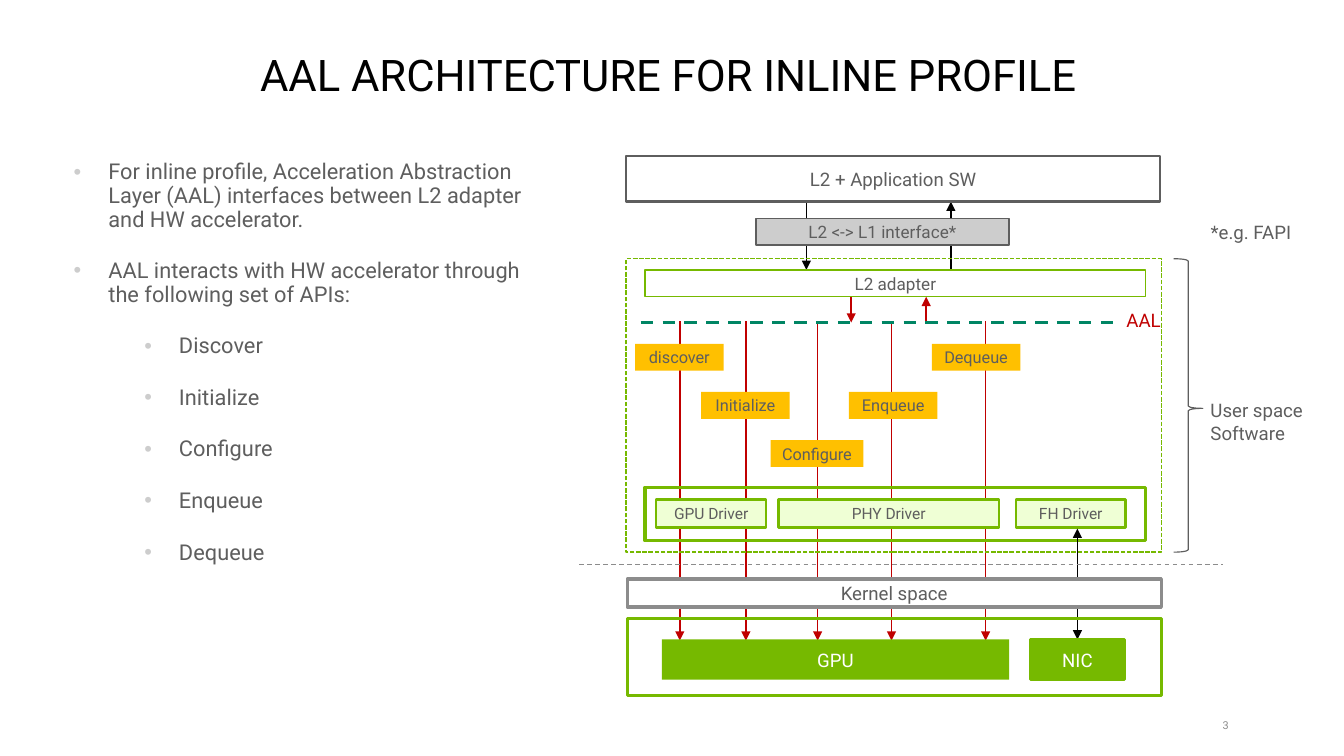
from collections import namedtuple
from lxml.etree import SubElement
from pptx import Presentation
from pptx.dml.color import RGBColor
from pptx.enum.dml import MSO_LINE as DASH
from pptx.enum.shapes import MSO_CONNECTOR, MSO_SHAPE as SHAPE
from pptx.enum.text import MSO_ANCHOR as ANCHOR, PP_ALIGN as ALIGN
from pptx.oxml.ns import qn
from pptx.util import Inches, Pt

COLORS = {
    "black": "000000", "white": "FFFFFF", "text": "5E5E5E", "muted": "8C8C8C",
    "silver": "CDCDCD", "green": "76B900", "mint": "EFFFD5", "teal": "008564",
    "amber": "FFC000", "red": "C00000",
}
FONT = "Roboto"
COLUMNS, ROWS = 120, 67.5
CELL = Inches(12) / COLUMNS
Box = namedtuple("Box", "left top width height")


def grid(cells):
    return round(cells * CELL)


def color(name):
    return RGBColor.from_string(COLORS[name])


def within(box, left, top, width, height):
    return Box(box.left + left, box.top + top, width, height)


def add_run(paragraph, text, size, ink):
    run = paragraph.add_run()
    run.text = text
    run.font.name = FONT
    run.font.size = Pt(size)
    run.font.color.rgb = color(ink)


def set_frame(frame, anchor, inset):
    frame.word_wrap = True
    frame.vertical_anchor = anchor
    frame.margin_left = frame.margin_right = grid(inset)
    frame.margin_top = frame.margin_bottom = grid(inset / 2)


def add_text(slide, box, text, size, ink, align=ALIGN.CENTER, anchor=ANCHOR.MIDDLE,
             inset=1, spacing=0.9):
    frame = slide.shapes.add_textbox(*map(grid, box)).text_frame
    set_frame(frame, anchor, inset)
    paragraph = frame.paragraphs[0]
    paragraph.alignment = align
    paragraph.line_spacing = spacing
    add_run(paragraph, text, size, ink)


def add_block(slide, box, text="", size=12, ink="text", fill=None, line=None,
              weight=1, dash=None, kind=SHAPE.RECTANGLE):
    shape = slide.shapes.add_shape(kind, *map(grid, box))
    shape.shadow.inherit = False
    if fill:
        shape.fill.solid()
        shape.fill.fore_color.rgb = color(fill)
    else:
        shape.fill.background()
    if line:
        shape.line.color.rgb = color(line)
        shape.line.width = Pt(weight)
        if dash:
            shape.line.dash_style = dash
    else:
        shape.line.fill.background()
    if text:
        set_frame(shape.text_frame, ANCHOR.MIDDLE, 0)
        paragraph = shape.text_frame.paragraphs[0]
        paragraph.alignment = ALIGN.CENTER
        add_run(paragraph, text, size, ink)
    return shape


def add_line(slide, start, end, ink, weight=1, dash=None, arrows=()):
    line = slide.shapes.add_connector(MSO_CONNECTOR.STRAIGHT, *map(grid, start + end))
    line.line.color.rgb = color(ink)
    line.line.width = Pt(weight)
    if dash:
        line.line.dash_style = dash
    outline = line.line._get_or_add_ln()
    for arrow in arrows:
        SubElement(outline, qn(f"a:{arrow}"), type="triangle")
    SubElement(line._element.spPr, qn("a:effectLst"))


def add_bullets(slide, box, items):
    frame = slide.shapes.add_textbox(*map(grid, box)).text_frame
    set_frame(frame, ANCHOR.TOP, 1)
    for index, (level, text) in enumerate(items):
        paragraph = frame.paragraphs[0] if index == 0 else frame.add_paragraph()
        paragraph.level = level
        paragraph.line_spacing = 0.9
        paragraph.space_before = Pt(9 if index else 0)
        paragraph.space_after = Pt(9)
        properties = paragraph._p.get_or_add_pPr()
        properties.set("marL", str(grid(3.1 + 6.3 * level)))
        properties.set("indent", str(grid(-3.1)))
        bullet_color = SubElement(properties, qn("a:buClr"))
        SubElement(bullet_color, qn("a:srgbClr"), val=COLORS["silver"])
        SubElement(properties, qn("a:buFont"), typeface="Arial")
        SubElement(properties, qn("a:buChar"), char="•")
        add_run(paragraph, text, 14, "text")


def add_application(slide, box):
    down, up = box.left + 16.1, box.left + 29
    top, bottom = box.top + 4.1, box.top + box.height
    add_line(slide, (down, top), (down, bottom), "black", arrows=["tailEnd"])
    add_line(slide, (up, bottom), (up, top), "black", arrows=["tailEnd"])
    add_block(slide, within(box, 0, 0, box.width, 4.1), "L2 + Application SW",
              line="text", weight=1.5)
    add_block(slide, within(box, 11.6, 5.6, 22.6, 2.4), "L2 <-> L1 interface*", 11,
              fill="silver", line="text")


def add_calls(slide, box):
    calls = [("discover", 4.8, 0.8, 0), ("Initialize", 10.7, 6.7, 1),
             ("Configure", 17.1, 12.9, 2), ("Enqueue", 23.7, 19.9, 1),
             ("Dequeue", 32.1, 27.3, 0)]
    for text, column, left, row in calls:
        add_line(slide, (box.left + column, box.top),
                 (box.left + column, box.top + box.height), "red", arrows=["tailEnd"])
        width = 8.3 if text == "Configure" else 7.9
        add_block(slide, within(box, left, 2 + 4.3 * row, width, 2.4), text, 10.5,
                  fill="amber")


def add_user_space(slide, box):
    add_block(slide, box, line="green", dash=DASH.SQUARE_DOT)
    add_block(slide, within(box, 1.7, 1, 44.7, 2.4), "L2 adapter", 11, line="green")
    boundary = box.top + 5.7
    for column, arrow in ((20.1, "tailEnd"), (26.8, "headEnd")):
        add_line(slide, (box.left + column, box.top + 3.4),
                 (box.left + column, boundary), "red", arrows=[arrow])
    add_line(slide, (box.left + 1.3, boundary), (box.left + 43.6, boundary), "teal", 2,
             DASH.DASH)
    add_text(slide, within(box, 43.6, 4.2, 5.2, 2.8), "AAL", 12, "red")
    add_block(slide, within(box, 1.7, 20.4, 44.7, 4.8), line="green", weight=2)
    for text, left, width in (("GPU Driver", 2.7, 9.8), ("PHY Driver", 13.6, 19.7),
                              ("FH Driver", 34.8, 9.8)):
        add_block(slide, within(box, left, 21.5, width, 2.5), text, 10, fill="mint",
                  line="green", weight=1.5)


def add_hardware(slide, box):
    column = box.left + 40.2
    add_line(slide, (column, box.top - 8), (column, box.top + 1.9), "black", 0.75,
             arrows=["headEnd", "tailEnd"])
    add_line(slide, (box.left - 4.3, box.top - 4.8), (box.left + 53.2, box.top - 4.8),
             "muted", 0.75, DASH.DASH)
    add_block(slide, within(box, 0, -3.5, box.width, 2.5), "Kernel space", fill="white",
              line="muted", weight=2)
    add_block(slide, box, line="green", weight=2)
    add_block(slide, within(box, 3.1, 1.9, 31, 3.6), "GPU", ink="white", fill="green")
    add_block(slide, within(box, 36, 1.9, 8.4, 3.6), "NIC", ink="white", fill="green",
              line="green", weight=2)


def add_side_notes(slide, box):
    brace = add_block(slide, within(box, 0, 3.7, 2.6, 26.2), line="text", weight=0.75,
                      kind=SHAPE.RIGHT_BRACE)
    brace.adjustments[0] = 0.08
    brace.adjustments[1] = 0.51
    add_text(slide, within(box, 2.1, 0, 9.6, 2.8), "*e.g. FAPI", 12, "text")
    add_text(slide, within(box, 2.3, 16.5, 10.4, 3.5), "User space Software", 12, "text",
             ALIGN.LEFT, spacing=1)


def main():
    presentation = Presentation()
    presentation.slide_width = grid(COLUMNS)
    presentation.slide_height = grid(ROWS)
    slide = presentation.slides.add_slide(presentation.slide_layouts[6])
    add_text(slide, Box(5.1, 3, 109.1, 6.5), "AAL ARCHITECTURE FOR INLINE PROFILE", 28,
             "black", anchor=ANCHOR.BOTTOM)
    add_bullets(slide, Box(5.6, 13.9, 43.7, 46.4), [
        (0, "For inline profile, Acceleration Abstraction Layer (AAL) interfaces "
            "between L2 adapter and HW accelerator."),
        (0, "AAL interacts with HW accelerator through the following set of APIs:"),
        (1, "Discover"), (1, "Initialize"), (1, "Configure"), (1, "Enqueue"),
        (1, "Dequeue"),
    ])
    add_application(slide, Box(55.9, 13.9, 47.7, 10.2))
    add_calls(slide, Box(55.9, 28.7, 47.7, 28.5))
    add_user_space(slide, Box(55.9, 23.1, 47.8, 26.2))
    add_hardware(slide, Box(56, 55.2, 47.7, 6.9))
    add_side_notes(slide, Box(104.8, 19.4, 12.7, 29.9))
    add_text(slide, Box(106.6, 64.1, 3.1, 1.5), "3", 7, "muted", ALIGN.RIGHT, inset=0)
    presentation.save("out.pptx")


if __name__ == "__main__":
    main()
